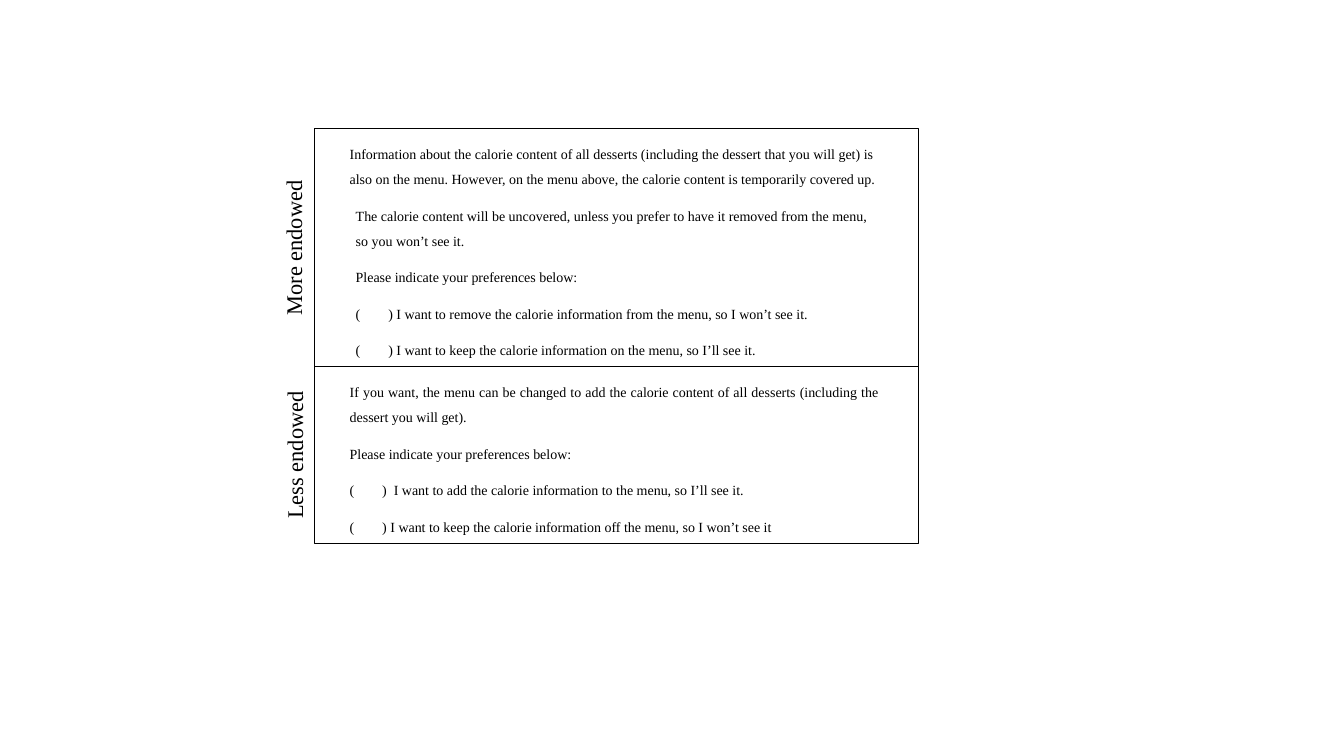
"""Builds a slide that sets two menu choice prompts side by side with their labels."""
from pptx import Presentation
from pptx.dml.color import RGBColor as RGB
from pptx.enum.shapes import MSO_SHAPE as Shape
from pptx.enum.text import MSO_ANCHOR as Anchor, PP_ALIGN as Align
from pptx.util import Inches, Pt

HUES = {"ink": "000000", "paper": "FFFFFF"}
FONT = "Times New Roman"
BLANK = "(" + " " * 8 + ")"
LEFT, TOP, WIDTH = 3.12, 1.28, 5.99
TALL = 0.37
ASK = "Please indicate your preferences below:"

MORE = [
    ("Information about the calorie content of all desserts (including the dessert "
     "that you will get) is also on the menu. However, on the menu above, the calorie "
     "content is temporarily covered up.", 0.25, Align.LEFT),
    ("The calorie content will be uncovered, unless you prefer to have it removed "
     "from the menu, so you won’t see it.", 0.31, Align.LEFT),
    (ASK, 0.31, Align.LEFT),
    (BLANK + " I want to remove the calorie information from the menu, "
     "so I won’t see it.", 0.31, Align.LEFT),
    (BLANK + " I want to keep the calorie information on the menu, "
     "so I’ll see it.", 0.31, Align.LEFT),
]
LESS = [
    ("If you want, the menu can be changed to add the calorie content of all desserts "
     "(including the dessert you will get).", 0.25, Align.JUSTIFY),
    (ASK, 0.25, Align.JUSTIFY),
    (BLANK + "  I want to add the calorie information to the menu, "
     "so I’ll see it.", 0.25, Align.JUSTIFY),
    (BLANK + " I want to keep the calorie information off the menu, "
     "so I won’t see it", 0.25, Align.LEFT),
]
PANELS = [("More endowed", 2.36, 2.91, MORE), ("Less endowed", 1.75, 2.92, LESS)]


def tint(name):
    """Return the named colour."""
    return RGB.from_string(HUES[name])


def write(para, text, size):
    """Add one run of text to a paragraph."""
    run = para.add_run()
    run.text = text
    run.font.size = Pt(size)
    run.font.name = FONT
    run.font.color.rgb = tint("ink")


def panel(slide, left, top, width, height, lines):
    """Draw a framed prompt with its paragraphs."""
    box = slide.shapes.add_shape(
        Shape.RECTANGLE, Inches(left), Inches(top), Inches(width), Inches(height))
    box.shadow.inherit = False
    box.fill.solid()
    box.fill.fore_color.rgb = tint("paper")
    box.line.color.rgb = tint("ink")
    box.line.width = Pt(0.75)
    frame = box.text_frame
    frame.word_wrap = True
    frame.vertical_anchor = Anchor.MIDDLE
    frame.margin_right = Inches(0.4)
    for spot, (text, indent, align) in enumerate(lines):
        para = frame.add_paragraph() if spot else frame.paragraphs[0]
        para.alignment = align
        para.line_spacing = 1.5
        para.space_after = Pt(8)
        props = para._p.get_or_add_pPr()
        props.set("marL", str(Inches(indent)))
        props.set("indent", "0")
        write(para, text, 10)


def label(slide, mid, top, height, text):
    """Draw an upright label centred on mid, along the given height."""
    box = slide.shapes.add_textbox(
        Inches(mid - height / 2), Inches(top + (height - TALL) / 2),
        Inches(height), Inches(TALL))
    box.rotation = 270
    frame = box.text_frame
    frame.word_wrap = True
    para = frame.paragraphs[0]
    para.alignment = Align.CENTER
    write(para, text, 16)


def build():
    """Build the slide and save it."""
    deck = Presentation()
    deck.slide_width, deck.slide_height = Inches(13.33), Inches(7.5)
    slide = deck.slides.add_slide(deck.slide_layouts[6])
    top = TOP
    for name, height, mid, lines in PANELS:
        panel(slide, LEFT, top, WIDTH, height, lines)
        label(slide, mid, top, height, name)
        top += height
    deck.save("out.pptx")


build()
